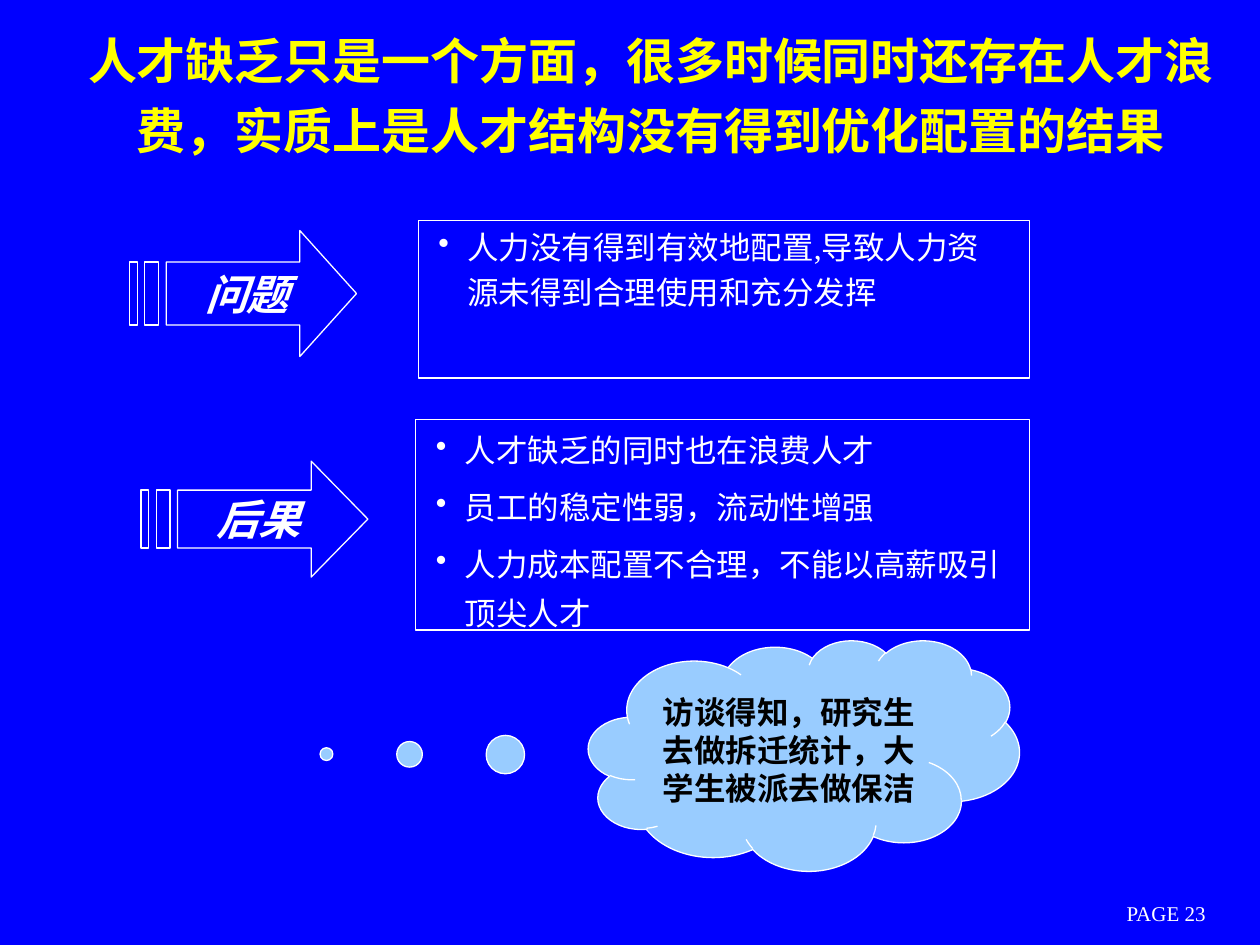
from dataclasses import dataclass

from lxml.etree import SubElement
from pptx import Presentation
from pptx.dml.color import RGBColor
from pptx.enum.shapes import MSO_SHAPE as Preset
from pptx.enum.text import MSO_ANCHOR as Anchor, PP_ALIGN as Align
from pptx.oxml.ns import qn
from pptx.util import Inches, Pt

BLUE, WHITE, YELLOW, SKY, BLACK = "0000FF", "FFFFFF", "FFFF00", "99CCFF", "000000"
SERIF, SANS = "Times New Roman", "Noto Sans CJK SC"
BULLET_INDENT = Inches(0.23)


@dataclass
class Box:
    left: float
    top: float
    width: float
    height: float

    def lengths(self):
        return [Inches(v) for v in (self.left, self.top, self.width, self.height)]


@dataclass
class Topic:
    label: str
    arrow: Box
    panel: Box
    spacing: float
    points: list[str]


TOPICS = [
    Topic("问题", Box(1.03, 1.83, 1.8, 1), Box(3.32, 1.75, 4.85, 1.25), 1.2,
          ["人力没有得到有效地配置,导致人力资源未得到合理使用和充分发挥"]),
    Topic("后果", Box(1.12, 3.66, 1.8, 0.92), Box(3.3, 3.33, 4.87, 1.67), 1.3,
          ["人才缺乏的同时也在浪费人才", "员工的稳定性弱，流动性增强",
           "人力成本配置不合理，不能以高薪吸引顶尖人才"]),
]


def color(value: str) -> RGBColor:
    return RGBColor.from_string(value)


def style_shape(shape, fill: str | None) -> None:
    shape.shadow.inherit = False
    if fill:
        shape.fill.solid()
        shape.fill.fore_color.rgb = color(fill)
    else:
        shape.fill.background()
    shape.line.color.rgb = color(WHITE)
    shape.line.width = Pt(0.75)


def style_text(paragraph, size: int, fill: str = WHITE, face: str = SERIF,
               bold: bool = False, italic: bool = False) -> None:
    for run in paragraph.runs:
        font = run.font
        font.size, font.name = Pt(size), face
        font.bold, font.italic = bold, italic
        font.color.rgb = color(fill)


def write(shape, text: str, size: int, wrap: bool = True, **style):
    """Put one centred paragraph in a shape and return it."""
    frame = shape.text_frame
    frame.text = text
    frame.word_wrap = wrap
    frame.vertical_anchor = Anchor.MIDDLE
    paragraph = frame.paragraphs[0]
    paragraph.alignment = Align.CENTER
    style_text(paragraph, size, **style)
    return paragraph


def add_bullet(paragraph) -> None:
    properties = paragraph._p.get_or_add_pPr()
    properties.set("marL", str(BULLET_INDENT))
    properties.set("indent", str(-BULLET_INDENT))
    bullet_color = SubElement(properties, qn("a:buClr"))
    SubElement(bullet_color, qn("a:srgbClr"), val=WHITE)
    SubElement(properties, qn("a:buChar"), char="•")


def add_striped_arrow(slide, box: Box, label: str) -> None:
    upper, lower = box.height / 4, box.height * 3 / 4
    neck, tip = box.width - 0.45, box.width
    head = [(neck, 0), (neck, upper), (0.29, upper), (0.29, lower),
            (neck, lower), (neck, box.height), (tip, box.height / 2)]
    stripes = [[(left, upper), (left, lower), (right, lower), (right, upper)]
               for left, right in ((0.12, 0.23), (0, 0.06))]
    builder = None
    for outline in [head, *stripes]:
        start, *rest = [(Inches(box.left + x), Inches(box.top + y)) for x, y in outline]
        if builder is None:
            builder = slide.shapes.build_freeform(*start)
        else:
            builder.move_to(*start)
        builder.add_line_segments(rest, close=True)
    arrow = builder.convert_to_shape()
    style_shape(arrow, None)
    write(arrow, label, 24, wrap=False, bold=True, italic=True)
    arrow.text_frame.margin_left = Inches(0.16)


def add_panel(slide, topic: Topic) -> None:
    panel = slide.shapes.add_shape(Preset.RECTANGLE, *topic.panel.lengths())
    style_shape(panel, BLUE)
    frame = panel.text_frame
    frame.word_wrap = True
    frame.vertical_anchor = Anchor.TOP
    frame.margin_left = frame.margin_right = Inches(0.16)
    frame.margin_top = frame.margin_bottom = 0
    for index, point in enumerate(topic.points):
        paragraph = frame.add_paragraph() if index else frame.paragraphs[0]
        paragraph.text = point
        add_bullet(paragraph)
        paragraph.alignment = Align.LEFT
        paragraph.line_spacing = topic.spacing
        if index:
            paragraph.space_before = Pt(4.5)
        style_text(paragraph, 18)


def main() -> None:
    presentation = Presentation()
    presentation.slide_width, presentation.slide_height = Inches(10), Inches(7.5)
    slide = presentation.slides.add_slide(presentation.slide_layouts[6])
    slide.background.fill.solid()
    slide.background.fill.fore_color.rgb = color(BLUE)

    page = slide.shapes.add_textbox(*Box(8.42, 7.12, 1.67, 0.25).lengths())
    write(page, "PAGE 23", 12, wrap=False)

    title = slide.shapes.add_textbox(*Box(0.33, 0.08, 9.67, 1.25).lengths())
    heading = write(
        title, "人才缺乏只是一个方面，很多时候同时还存在人才浪费，实质上是人才结构没有得到优化配置的结果",
        28, fill=YELLOW, face=SANS, bold=True)
    heading.line_spacing = 1.2
    title.text_frame.margin_left = title.text_frame.margin_right = Inches(0.25)

    for topic in TOPICS:
        add_striped_arrow(slide, topic.arrow, topic.label)
        add_panel(slide, topic)

    cloud = slide.shapes.add_shape(Preset.CLOUD_CALLOUT, *Box(4.67, 5.08, 3.42, 1.83).lengths())
    cloud.adjustments[0], cloud.adjustments[1] = -1.108, -0.005
    style_shape(cloud, SKY)
    write(cloud, "访谈得知，研究生去做拆迁统计，大学生被派去做保洁", 18, fill=BLACK, bold=True)

    presentation.save("out.pptx")


if __name__ == "__main__":
    main()
